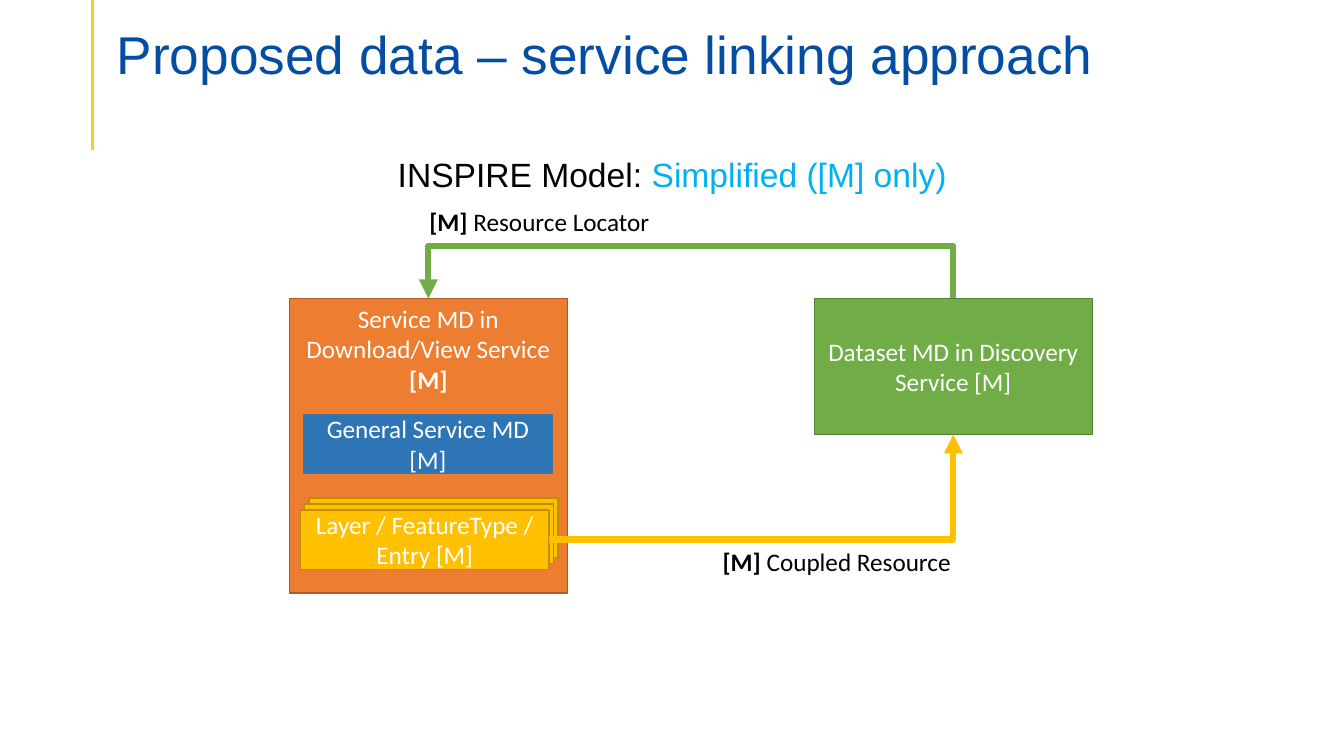
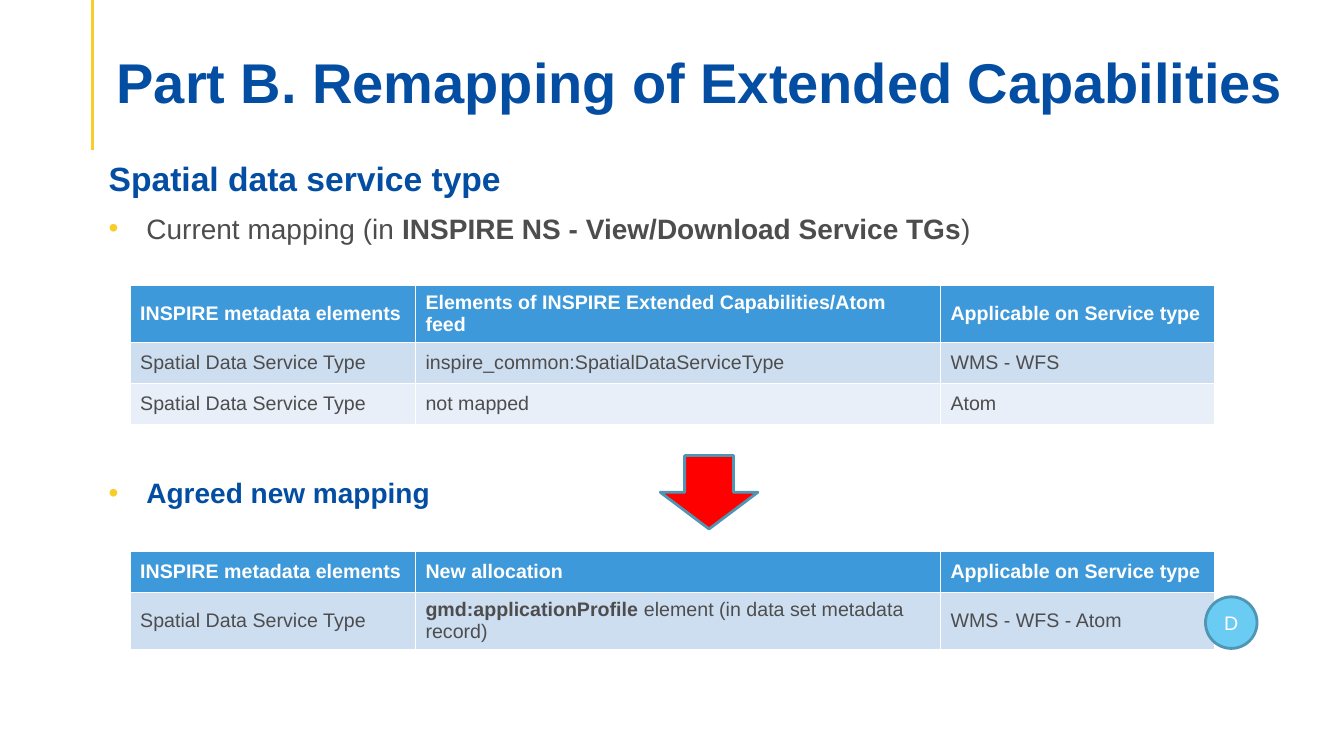
from lxml import etree
from pptx import Presentation
from pptx.dml.color import RGBColor
from pptx.enum.shapes import MSO_CONNECTOR, MSO_SHAPE
from pptx.enum.text import MSO_ANCHOR, PP_ALIGN
from pptx.oxml.ns import qn
from pptx.util import Cm, Pt

RECTANGLE, OVAL, DOWN_ARROW = MSO_SHAPE.RECTANGLE, MSO_SHAPE.OVAL, MSO_SHAPE.DOWN_ARROW
STRAIGHT, ELBOW = MSO_CONNECTOR.STRAIGHT, MSO_CONNECTOR.ELBOW
TOP, MIDDLE = MSO_ANCHOR.TOP, MSO_ANCHOR.MIDDLE
LEFT, CENTER = PP_ALIGN.LEFT, PP_ALIGN.CENTER
SITE_TOP, SITE_BOTTOM, SITE_RIGHT = 0, 2, 3

NAVY, YELLOW, GREY, WHITE, BLACK = "034EA2", "F8CC29", "4D4D4D", "FFFFFF", "000000"
ORANGE, GREEN, GOLD, BLUE, CYAN = "ED7D31", "70AD47", "FFC000", "2E75B6", "00B0F0"
TEAL_LINE, HEADER_FILL = "4E96B4", "3E99DA"
BAND_FILLS = ["CEDEF1", "E8EFF8"]
COLUMN_WIDTHS = [7.19, 13.23, 6.91]
ROW_HEIGHT = 1.03


def color(hex_string):
    return RGBColor.from_string(hex_string)


def bold(text):
    return text, {"bold": True}


def write(paragraph, parts, size, text_color, font="Arial", align=LEFT, is_bold=None):
    """Fill a paragraph from strings and (string, run format) pairs."""
    paragraph.alignment = align
    paragraph.font.name = font
    paragraph.font.size = Pt(size)
    paragraph.font.color.rgb = color(text_color)
    paragraph.font.bold = is_bold
    for part in [parts] if isinstance(parts, str) else parts:
        text, style = (part, {}) if isinstance(part, str) else part
        run = paragraph.add_run()
        run.text = text
        if "bold" in style:
            run.font.bold = style["bold"]
        if "color" in style:
            run.font.color.rgb = color(style["color"])


def add_text(slide, left, top, width, height, anchor=TOP, wrap=True):
    frame = slide.shapes.add_textbox(Cm(left), Cm(top), Cm(width), Cm(height)).text_frame
    frame.word_wrap = wrap
    frame.vertical_anchor = anchor
    return frame


def add_box(slide, kind, place, fill, line, line_width=1, text=None,
            anchor=MIDDLE, size=18, font="Calibri"):
    shape = slide.shapes.add_shape(kind, *[Cm(length) for length in place])
    shape.shadow.inherit = False
    shape.fill.solid()
    shape.fill.fore_color.rgb = color(fill)
    shape.line.color.rgb = color(line)
    shape.line.width = Pt(line_width)
    if text:
        shape.text_frame.word_wrap = True
        shape.text_frame.vertical_anchor = anchor
        write(shape.text_frame.paragraphs[0], text, size, WHITE, font, CENTER)
    return shape


def add_line(slide, kind, start, end, line_color, width, arrow=False):
    """Draw a line; an elbow runs horizontally first, then vertically."""
    connector = slide.shapes.add_connector(kind, *[Cm(length) for length in start + end])
    connector.line.color.rgb = color(line_color)
    connector.line.width = Pt(width)
    properties = connector._element.spPr
    if kind == ELBOW:
        properties.find(qn("a:prstGeom")).set("prst", "bentConnector2")
    if arrow:
        etree.SubElement(connector.line._get_or_add_ln(), qn("a:tailEnd"), type="triangle")
    etree.SubElement(properties, qn("a:effectLst"))
    return connector


def add_bullet(paragraph, parts, text_color, is_bold=None):
    properties = paragraph._p.get_or_add_pPr()
    properties.set("marL", str(Cm(0.95)))
    properties.set("indent", str(-Cm(0.95)))
    paragraph.space_after = Pt(3)
    bullet_color = etree.SubElement(properties, qn("a:buClr"))
    etree.SubElement(bullet_color, qn("a:srgbClr"), val=YELLOW)
    etree.SubElement(properties, qn("a:buFont"), typeface="Arial")
    etree.SubElement(properties, qn("a:buChar"), char="•")
    write(paragraph, parts, 20, text_color, is_bold=is_bold)


def add_mapping_table(slide, top, rows):
    table = slide.shapes.add_table(
        len(rows), len(COLUMN_WIDTHS), Cm(3.28), Cm(top),
        Cm(sum(COLUMN_WIDTHS)), Cm(ROW_HEIGHT * len(rows))).table
    for column, width in zip(table.columns, COLUMN_WIDTHS):
        column.width = Cm(width)
    for row_index, texts in enumerate(rows):
        is_header = row_index == 0
        fill = HEADER_FILL if is_header else BAND_FILLS[(row_index - 1) % 2]
        for column_index, text in enumerate(texts):
            cell = table.cell(row_index, column_index)
            cell.fill.solid()
            cell.fill.fore_color.rgb = color(fill)
            cell.vertical_anchor = MIDDLE
            write(cell.text_frame.paragraphs[0], text, 14,
                  WHITE if is_header else GREY, is_bold=is_header)


def add_titled_slide(presentation, title, top, size, is_bold=False):
    slide = presentation.slides.add_slide(presentation.slide_layouts[6])
    add_line(slide, STRAIGHT, (2.34, 0), (2.34, 3.78), YELLOW, 2.25)
    frame = add_text(slide, 2.69, top, 30.12, 2.18, MIDDLE)
    frame.margin_bottom = 0
    frame.paragraphs[0].line_spacing = 0.9
    write(frame.paragraphs[0], title, size, NAVY, is_bold=is_bold)
    return slide


def build_linking_slide(presentation):
    slide = add_titled_slide(presentation, "Proposed data – service linking approach", 0.28, 38)
    subtitle = add_text(slide, 2.69, 3.76, 28.5, 1.27)
    write(subtitle.paragraphs[0],
          ["INSPIRE Model: ", ("Simplified ([M] only)", {"color": CYAN})],
          24, BLACK, align=CENTER)

    # Metadata boxes
    service = add_box(slide, RECTANGLE, (7.29, 7.52, 7.01, 7.42), ORANGE, "AF5C24",
                      text=["Service MD in Download/View Service ", bold("[M]")], anchor=TOP)
    dataset = add_box(slide, RECTANGLE, (20.52, 7.52, 7.01, 3.43), GREEN, "538035",
                      text="Dataset MD in Discovery Service [M]")
    add_box(slide, RECTANGLE, (7.65, 10.44, 6.27, 1.5), BLUE, "43739E",
            text="General Service MD [M]")

    # Stack of layers, front one last
    for depth in (2, 1, 0):
        layer = add_box(slide, RECTANGLE,
                        (7.57 + 0.11 * depth, 12.85 - 0.15 * depth, 6.27, 1.5), GOLD, "BD8E00",
                        text=None if depth else "Layer / FeatureType / Entry [M]")

    # Links between the boxes
    middle = (17.04, 6.2)
    from_dataset = add_line(slide, ELBOW, middle, (24.03, 7.52), GREEN, 4.5)
    from_dataset.end_connect(dataset, SITE_TOP)
    to_service = add_line(slide, ELBOW, middle, (10.8, 7.52), GREEN, 4.5, arrow=True)
    to_service.end_connect(service, SITE_TOP)
    coupled = add_line(slide, ELBOW, (13.84, 13.6), (24.03, 10.95), GOLD, 4.5, arrow=True)
    coupled.begin_connect(layer, SITE_RIGHT)
    coupled.end_connect(dataset, SITE_BOTTOM)

    # Link labels
    for left, top, width, label in [(10.57, 5.08, 6.12, " Resource Locator"),
                                    (17.96, 13.64, 6.35, " Coupled Resource")]:
        frame = add_text(slide, left, top, width, 1.02, wrap=False)
        write(frame.paragraphs[0], [bold("[M]"), label], 18, BLACK, "Calibri")


def build_remapping_slide(presentation):
    slide = add_titled_slide(presentation, "Part B. Remapping of Extended Capabilities",
                             0.99, 40, is_bold=True)

    # Current mapping
    current = add_text(slide, 2.49, 3.86, 30.12, 2.92)
    heading = current.paragraphs[0]
    heading.space_after = Pt(6)
    write(heading, "Spatial data service type", 24, NAVY, is_bold=True)
    bullet = current.add_paragraph()
    bullet.space_before = Pt(3)
    add_bullet(bullet, ["Current mapping (in ",
                        bold("INSPIRE NS - View/Download Service TGs"), ")"], GREY)
    add_mapping_table(slide, 7.19, [
        ["INSPIRE metadata elements", "Elements of INSPIRE Extended Capabilities/Atom feed",
         "Applicable on Service type"],
        ["Spatial Data Service Type", "inspire_common:SpatialDataServiceType", "WMS - WFS"],
        ["Spatial Data Service Type", "not mapped", "Atom"],
    ])

    # New mapping
    agreed = add_text(slide, 2.49, 11.86, 12, 1.45)
    add_bullet(agreed.paragraphs[0], "Agreed new mapping", NAVY, is_bold=True)
    add_mapping_table(slide, 13.89, [
        ["INSPIRE metadata elements", "New allocation", "Applicable on Service type"],
        ["Spatial Data Service Type",
         [bold("gmd:applicationProfile "), "element (in data set metadata record)"],
         "WMS - WFS - Atom"],
    ])
    add_box(slide, DOWN_ARROW, (16.64, 11.48, 2.46, 1.85), "FF0000", TEAL_LINE, 2)
    add_box(slide, OVAL, (30.38, 15.04, 1.3, 1.3), "6ACBF3", TEAL_LINE, 2,
            text="D", size=14, font="Arial")


def main():
    presentation = Presentation()
    presentation.slide_width = Cm(33.87)
    presentation.slide_height = Cm(19.05)
    build_linking_slide(presentation)
    build_remapping_slide(presentation)
    presentation.save("out.pptx")


if __name__ == "__main__":
    main()
